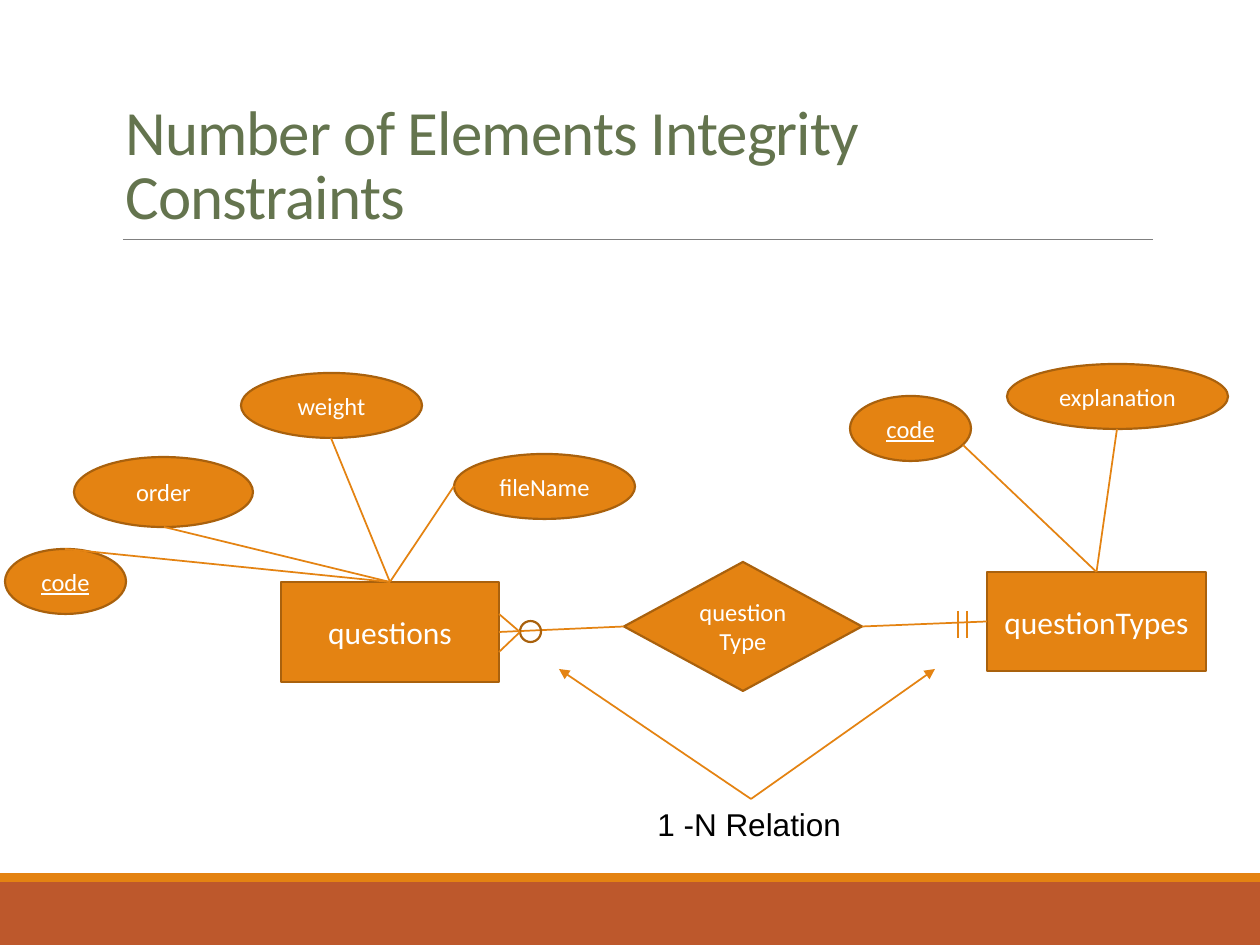
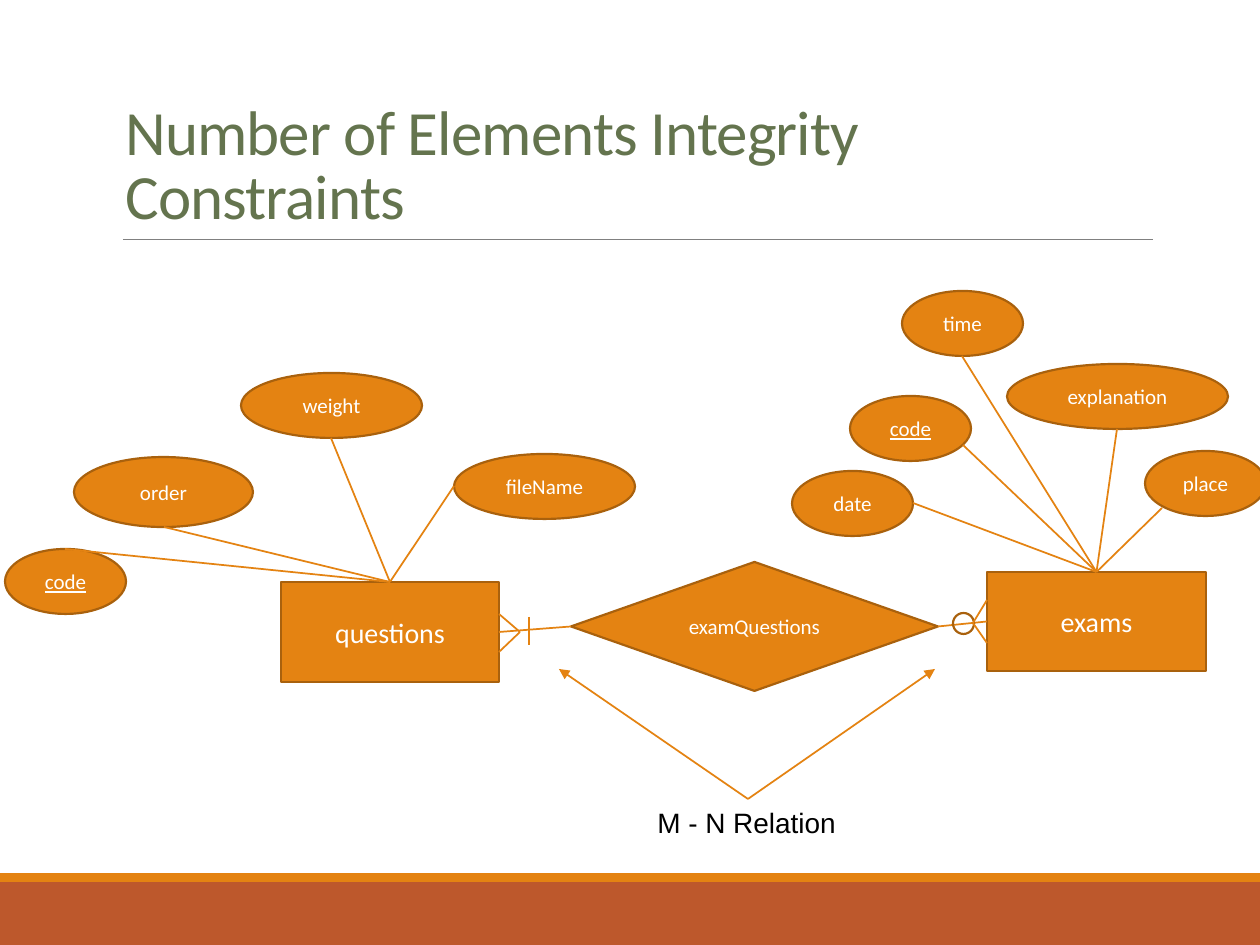
from lxml import etree
from pptx import Presentation
from pptx import util as u
from pptx.dml.color import RGBColor
from pptx.enum import shapes, text
from pptx.oxml.ns import qn

EMU_PER_PX = 914400 / 126
COLORS = {
    "band": "BD582C", "accent": "E48312", "outline": "A9610D", "rule": "808080",
    "title": "64744E", "white": "FFFFFF", "black": "000000",
}
RGB = {name: RGBColor.from_string(value) for name, value in COLORS.items()}
KIND = shapes.MSO_SHAPE
TITLE = "Number of Elements Integrity Constraints"

# Points of an attribute where its line ends, as fractions of its width and height
TOP, BOTTOM, LEFT, RIGHT = (0.5, 0), (0.5, 1), (0, 0.5), (1, 0.5)
LOWER_LEFT, LOWER_RIGHT = (0.14, 0.87), (0.93, 0.75)

# Attributes: name, box, line end, is key
QUESTION_ATTRIBUTES = [
    ("order", (74, 457, 179, 70), BOTTOM, False),
    ("weight", (241, 373, 181, 65), BOTTOM, False),
    ("fileName", (454, 454, 181, 65), LEFT, False),
    ("code", (5, 549, 121, 65), TOP, True),
]
TYPE_ATTRIBUTES = [
    ("explanation", (1007, 364, 221, 65), BOTTOM, False),
    ("code", (850, 396, 121, 65), LOWER_RIGHT, True),
]
EXAM_ATTRIBUTES = TYPE_ATTRIBUTES + [
    ("date", (792, 471, 121, 65), RIGHT, False),
    ("place", (1145, 451, 121, 65), LOWER_LEFT, False),
    ("time", (902, 291, 121, 65), BOTTOM, False),
]
LEFT_CROW_FOOT = [(520, 632, 499, 614), (520, 632, 499, 652)]
RIGHT_CROW_FOOT = [(973, 623, 987, 600), (973, 623, 987, 643)]

DIAGRAMS = [
    {
        "right_entity": "questionTypes", "right_attributes": TYPE_ATTRIBUTES,
        "relation": "questionType", "diamond": (624, 562, 238, 129),
        "entity_size": 18, "attribute_size": 14,
        "zero_mark": (520, 621, 21, 21),
        "marks": LEFT_CROW_FOOT + [(958, 611, 958, 638), (967, 611, 967, 638)],
        "label": "1 -N Relation", "label_box": (645, 799, 212, 50),
    },
    {
        "right_entity": "exams", "right_attributes": EXAM_ATTRIBUTES,
        "relation": "examQuestions", "diamond": (571, 562, 367, 129),
        "entity_size": 16, "attribute_size": 12,
        "zero_mark": (953, 613, 21, 21),
        "marks": LEFT_CROW_FOOT + RIGHT_CROW_FOOT + [(529, 617, 529, 645)],
        "label": "M - N Relation", "label_box": (645, 799, 207, 47),
    },
]


def add_node(slide, kind, box, fill=None, outline=None, caption="", size=12, key=False):
    """Add a preset shape with a centred caption; a key is underlined."""
    shape = slide.shapes.add_shape(kind, *[u.Emu(round(v * EMU_PER_PX)) for v in box])
    shape.shadow.inherit = False
    if fill:
        shape.fill.solid()
        shape.fill.fore_color.rgb = RGB[fill]
    else:
        shape.fill.background()
    if outline:
        shape.line.color.rgb = RGB[outline]
        shape.line.width = u.Pt(1.25)
    else:
        shape.line.fill.background()
    if caption:
        frame = shape.text_frame
        frame.text = caption
        frame.word_wrap = True
        frame.vertical_anchor = text.MSO_ANCHOR.MIDDLE
        paragraph = frame.paragraphs[0]
        paragraph.alignment = text.PP_ALIGN.CENTER
        font = paragraph.runs[0].font
        font.name, font.size = "Calibri", u.Pt(size)
        font.color.rgb = RGB["white"]
        if key:
            font.underline = True
    return shape


def add_line(slide, points, color="accent", width=1, arrow=False):
    """Add a straight line through points (x1, y1, x2, y2), with an optional arrowhead."""
    line = slide.shapes.add_connector(
        shapes.MSO_CONNECTOR.STRAIGHT, *[u.Emu(round(v * EMU_PER_PX)) for v in points])
    line.line.color.rgb = RGB[color]
    line.line.width = u.Pt(width)
    properties = line._element.spPr
    etree.SubElement(properties, qn("a:effectLst"))
    if arrow:
        etree.SubElement(properties.find(qn("a:ln")), qn("a:tailEnd"), type="triangle")
    return line


presentation = Presentation()
presentation.slide_width = u.Emu(round(1260 * EMU_PER_PX))
presentation.slide_height = u.Emu(round(945 * EMU_PER_PX))

for diagram in DIAGRAMS:
    slide = presentation.slides.add_slide(presentation.slide_layouts[6])

    # Bands, title and rule
    add_node(slide, KIND.RECTANGLE, (0, 882, 1260, 63), "band")
    add_node(slide, KIND.RECTANGLE, (0, 873, 1260, 9), "accent")
    add_line(slide, (123, 239, 1153, 239), "rule", 0.5)
    title_box = (113, 39, 1040, 200)
    title = slide.shapes.add_textbox(*[u.Emu(round(v * EMU_PER_PX)) for v in title_box])
    title.text_frame.text = TITLE
    title.text_frame.word_wrap = True
    title.text_frame.vertical_anchor = text.MSO_ANCHOR.BOTTOM
    paragraph = title.text_frame.paragraphs[0]
    paragraph.line_spacing = 0.85
    run = paragraph.runs[0]
    run.font.name, run.font.size = "Calibri", u.Pt(36)
    run.font.color.rgb = RGB["title"]
    run._r.get_or_add_rPr().set("spc", "-50")

    # Entities with their attributes
    entities = []
    for name, box, attributes in [
        (diagram["right_entity"], (987, 572, 219, 99), diagram["right_attributes"]),
        ("questions", (281, 582, 218, 100), QUESTION_ATTRIBUTES),
    ]:
        entity = add_node(slide, KIND.RECTANGLE, box, "accent", "outline",
                          name, diagram["entity_size"])
        entities.append(entity)
        for attribute, (x, y, width, height), (across, down), key in attributes:
            add_node(slide, KIND.OVAL, (x, y, width, height), "accent", "outline",
                     attribute, diagram["attribute_size"], key)
            end = (x + round(across * width), y + round(down * height))
            line = add_line(slide, (box[0] + box[2] // 2, box[1], *end))
            line.begin_connect(entity, 0)
    right_entity, questions = entities

    # Relation between the entities
    relation = add_node(slide, KIND.DIAMOND, diagram["diamond"], "accent", "outline",
                        diagram["relation"], diagram["attribute_size"])
    for start, start_side, end, end_side in [
        (questions, 3, relation, 1), (relation, 3, right_entity, 1),
    ]:
        line = add_line(slide, (499, 632, 987, 622))
        line.begin_connect(start, start_side)
        line.end_connect(end, end_side)

    # Cardinality marks
    add_node(slide, KIND.OVAL, diagram["zero_mark"], outline="outline")
    for mark in diagram["marks"]:
        add_line(slide, mark)

    # Relation label with its two arrows
    label = slide.shapes.add_textbox(
        *[u.Emu(round(v * EMU_PER_PX)) for v in diagram["label_box"]])
    label.text_frame.text = diagram["label"]
    label.text_frame.word_wrap = False
    label.text_frame.auto_size = text.MSO_AUTO_SIZE.SHAPE_TO_FIT_TEXT
    font = label.text_frame.paragraphs[0].runs[0].font
    font.name, font.size = "Arial", u.Pt(diagram["entity_size"])
    font.color.rgb = RGB["black"]
    left, top, width, _ = diagram["label_box"]
    for tip_x in (559, 935):
        add_line(slide, (left + width // 2, top, tip_x, 669), arrow=True)

presentation.save("out.pptx")
